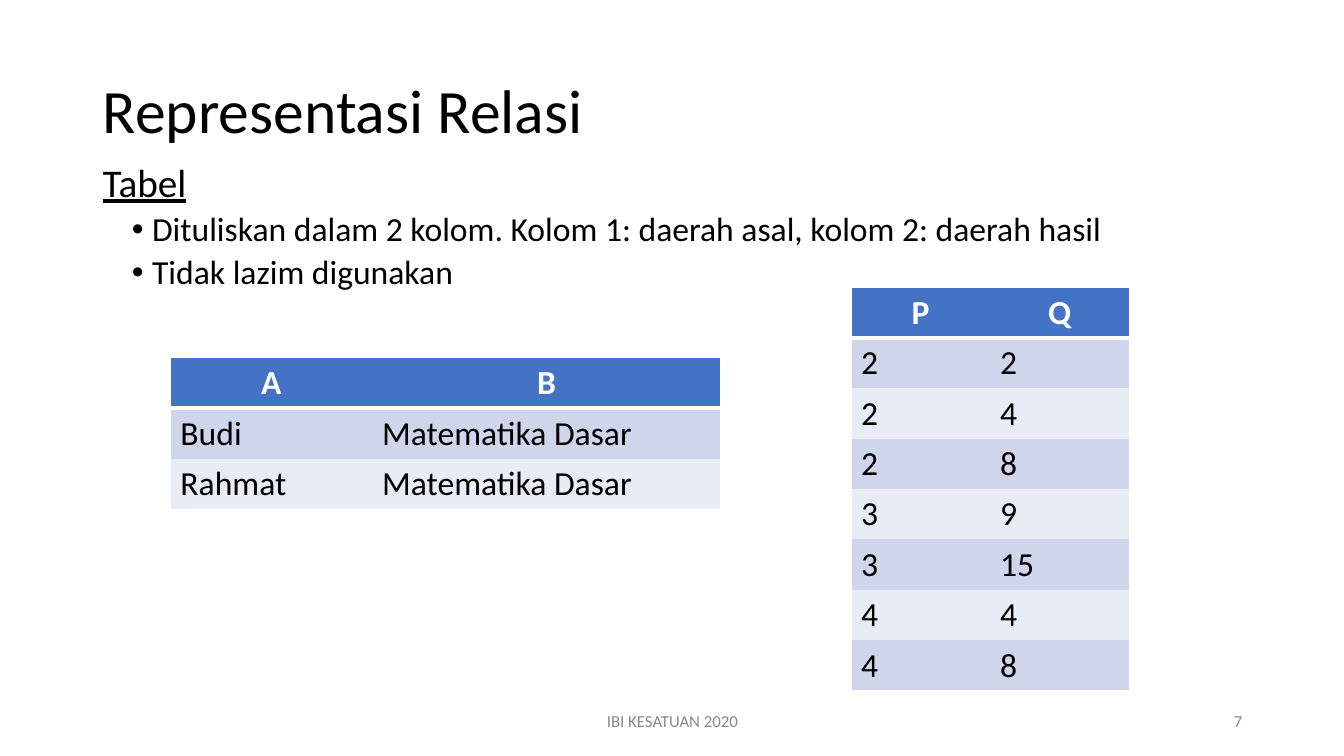
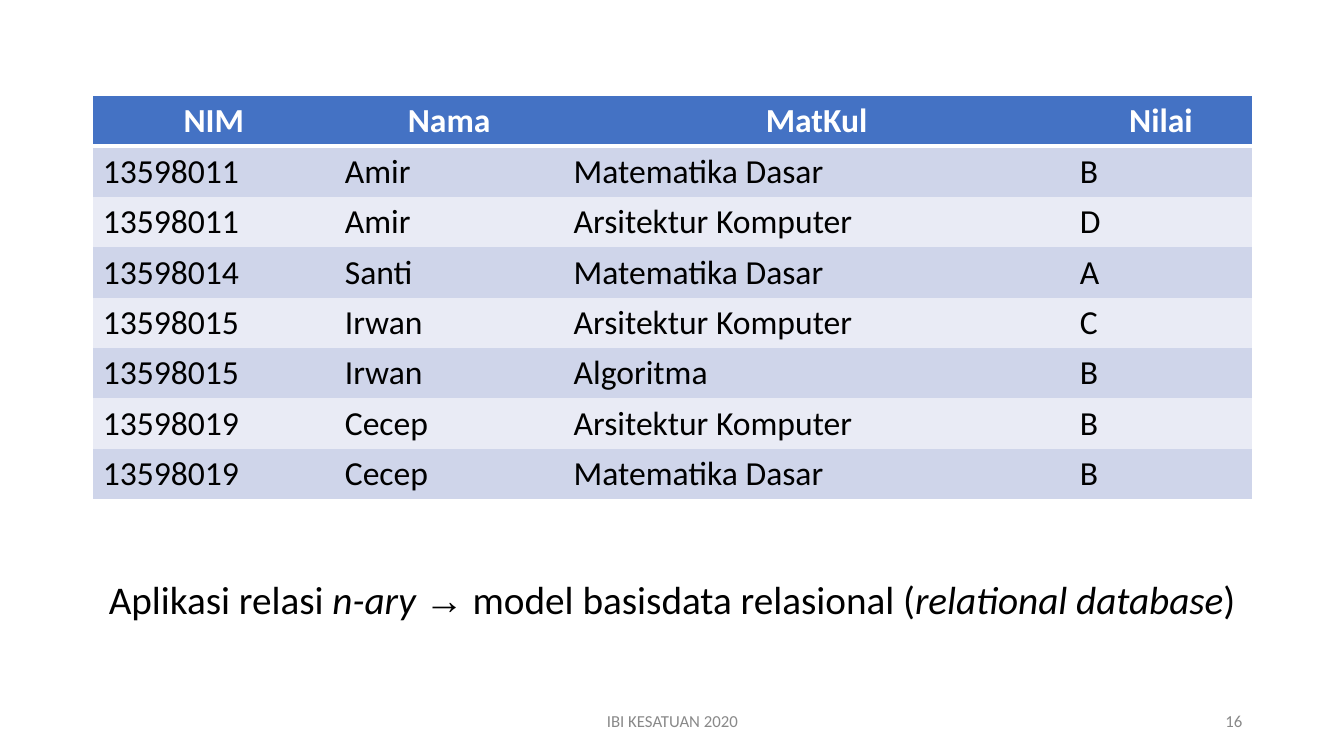
from typing import NamedTuple

from lxml.etree import SubElement
from pptx import Presentation
from pptx.dml.color import RGBColor
from pptx.enum.text import MSO_ANCHOR, PP_ALIGN
from pptx.oxml.ns import qn
from pptx.util import Inches, Pt

FONT = "Calibri"
BLACK, WHITE, GREY = "000000", "FFFFFF", "898989"
HEAD = "4472C4"
BANDS = ("CFD5EA", "E9EBF5")
ROW = 0.5
TITLE_ONLY, BLANK = 5, 6


class Box(NamedTuple):
    left: float
    top: float
    width: float
    height: float


class Run(NamedTuple):
    text: str
    size: float = 24
    color: str = BLACK
    font: str = FONT
    bold: bool = False
    italic: bool = False
    under: bool = False


class Grid(NamedTuple):
    left: float
    top: float
    widths: tuple[float, ...]
    rows: list[tuple[str, ...]]


def paint(target, color: str) -> None:
    target.rgb = RGBColor.from_string(color)


def write(para, runs: list[Run], align=PP_ALIGN.LEFT) -> None:
    para.alignment = align
    for item in runs:
        run = para.add_run()
        run.text = item.text
        font = run.font
        font.name, font.size = item.font, Pt(item.size)
        font.bold, font.italic, font.underline = item.bold, item.italic, item.under
        paint(font.color, item.color)


def place(shape, box: Box) -> None:
    shape.left, shape.top, shape.width, shape.height = map(Inches, box)


def add_text(slide, box: Box, anchor=MSO_ANCHOR.TOP):
    frame = slide.shapes.add_textbox(*map(Inches, box)).text_frame
    frame.word_wrap = True
    frame.vertical_anchor = anchor
    return frame


def add_title(slide, text: str) -> None:
    title = slide.shapes.title
    place(title, Box(0.92, 0.4, 11.5, 1.45))
    title.text_frame.vertical_anchor = MSO_ANCHOR.MIDDLE
    para = title.text_frame.paragraphs[0]
    para.line_spacing = 0.9
    write(para, [Run(text, 44)])


def add_foot(slide, number: int) -> None:
    for box, text, align in (
        (Box(4.42, 6.95, 4.5, 0.4), "IBI KESATUAN 2020", PP_ALIGN.CENTER),
        (Box(9.42, 6.95, 3, 0.4), str(number), PP_ALIGN.RIGHT),
    ):
        frame = add_text(slide, box, MSO_ANCHOR.MIDDLE)
        write(frame.paragraphs[0], [Run(text, 12, GREY)], align)


def add_bullet(para) -> None:
    props = para._p.get_or_add_pPr()
    props.set("marL", str(Inches(0.49)))
    props.set("indent", str(Inches(-0.2)))
    SubElement(props, qn("a:buFont"), typeface="Arial")
    SubElement(props, qn("a:buChar"), char="•")


def add_list(slide, head: str, items: list[str]) -> None:
    frame = add_text(slide, Box(0.92, 1.57, 11.5, 5.18))
    para = frame.paragraphs[0]
    para.line_spacing, para.space_before = 0.9, Pt(10)
    write(para, [Run(head, 28, under=True)])
    for item in items:
        para = frame.add_paragraph()
        para.line_spacing, para.space_before = 0.9, Pt(5)
        write(para, [Run(item)])
        add_bullet(para)


def add_edges(cell, row: int, col: int, last: int, end: int) -> None:
    """Draw white outer edges and a thick rule under the heading row."""
    widths = {
        "L": 1 if col == 0 else 0,
        "R": 1 if col == end else 0,
        "T": {0: 1, 1: 3}.get(row, 0),
        "B": 3 if row == 0 else 1 if row == last else 0,
    }
    props = cell._tc.get_or_add_tcPr()
    for place_no, (side, width) in enumerate(widths.items()):
        line = props.makeelement(qn(f"a:ln{side}"), {"w": str(Pt(width))})
        props.insert(place_no, line)
        if width:
            fill = SubElement(line, qn("a:solidFill"))
            SubElement(fill, qn("a:srgbClr"), val=WHITE)
        else:
            SubElement(line, qn("a:noFill"))


def add_grid(slide, grid: Grid) -> None:
    count, wide = len(grid.rows), len(grid.widths)
    box = Box(grid.left, grid.top, sum(grid.widths), ROW * count)
    table = slide.shapes.add_table(count, wide, *map(Inches, box)).table
    for column, width in zip(table.columns, grid.widths):
        column.width = Inches(width)
    for r, texts in enumerate(grid.rows):
        head = r == 0
        for c, text in enumerate(texts):
            cell = table.cell(r, c)
            cell.fill.solid()
            paint(cell.fill.fore_color, HEAD if head else BANDS[(r - 1) % 2])
            add_edges(cell, r, c, count - 1, wide - 1)
            write(
                cell.text_frame.paragraphs[0],
                [Run(text, color=WHITE if head else BLACK, bold=head)],
                PP_ALIGN.CENTER if head else PP_ALIGN.LEFT,
            )


PEOPLE = Grid(1.69, 3.55, (2, 3.46), [
    ("A", "B"),
    ("Budi", "Matematika Dasar"),
    ("Rahmat", "Matematika Dasar"),
])
PAIRS = Grid(8.44, 2.85, (1.38, 1.38), [
    ("P", "Q"),
    ("2", "2"),
    ("2", "4"),
    ("2", "8"),
    ("3", "9"),
    ("3", "15"),
    ("4", "4"),
    ("4", "8"),
])
MARKS = Grid(0.92, 0.95, (2.4, 2.27, 5.02, 1.81), [
    ("NIM", "Nama", "MatKul", "Nilai"),
    ("13598011", "Amir", "Matematika Dasar", "B"),
    ("13598011", "Amir", "Arsitektur Komputer", "D"),
    ("13598014", "Santi", "Matematika Dasar", "A"),
    ("13598015", "Irwan", "Arsitektur Komputer", "C"),
    ("13598015", "Irwan", "Algoritma", "B"),
    ("13598019", "Cecep", "Arsitektur Komputer", "B"),
    ("13598019", "Cecep", "Matematika Dasar", "B"),
])


def add_slide(deck, layout: int, number: int):
    slide = deck.slides.add_slide(deck.slide_layouts[layout])
    add_foot(slide, number)
    return slide


def draw_forms(deck) -> None:
    slide = add_slide(deck, TITLE_ONLY, 7)
    add_title(slide, "Representasi Relasi")
    add_list(slide, "Tabel", [
        "Dituliskan dalam 2 kolom. Kolom 1: daerah asal, kolom 2: daerah hasil",
        "Tidak lazim digunakan",
    ])
    for grid in (PEOPLE, PAIRS):
        add_grid(slide, grid)


def draw_marks(deck) -> None:
    slide = add_slide(deck, BLANK, 16)
    add_grid(slide, MARKS)
    frame = add_text(slide, Box(0.74, 5.66, 11.85, 0.57))
    write(frame.paragraphs[0], [
        Run("Aplikasi relasi ", 28),
        Run("n-ary ", 28, italic=True),
        Run("→", 28, font="Arial"),
        Run(" model basisdata relasional (", 28),
        Run("relational database", 28, italic=True),
        Run(")", 28),
    ], PP_ALIGN.CENTER)


def main() -> None:
    deck = Presentation()
    deck.slide_width, deck.slide_height = Inches(13.33), Inches(7.5)
    draw_forms(deck)
    draw_marks(deck)
    deck.save("out.pptx")


if __name__ == "__main__":
    main()
